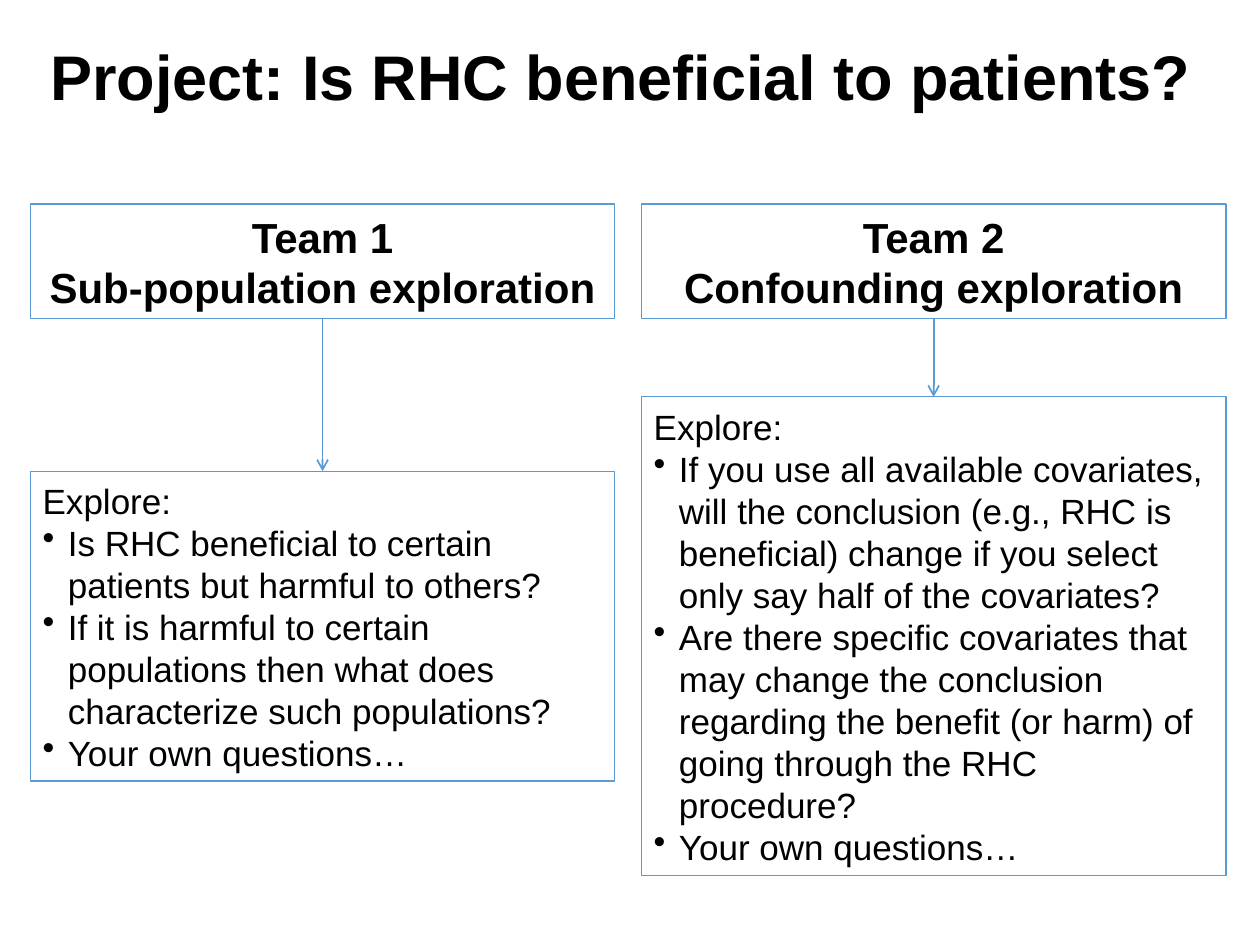
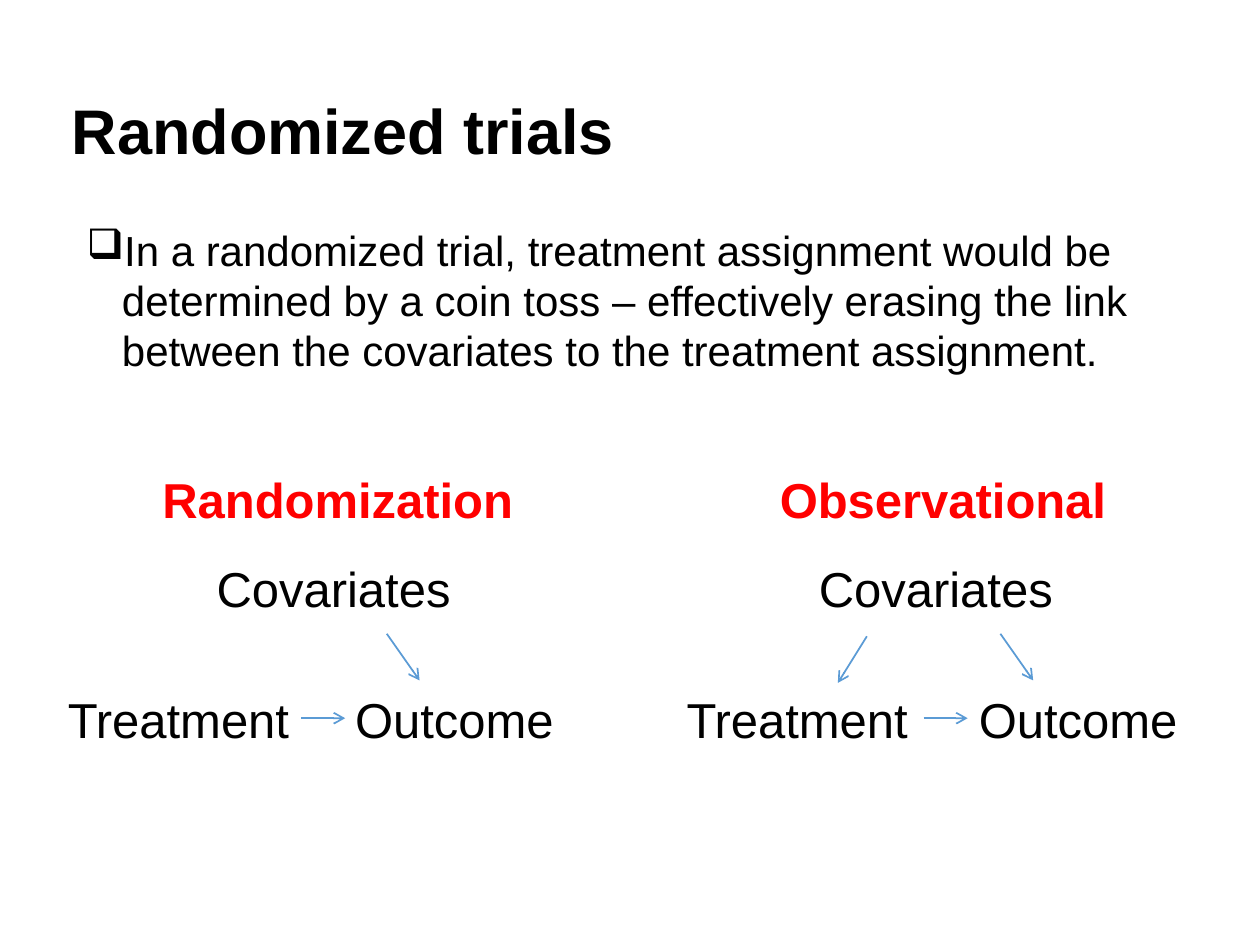
import pptx
import pptx.dml.color
import pptx.enum.shapes
import pptx.enum.text
import pptx.oxml
import pptx.oxml.ns
import pptx.util
from pptx.util import Inches

COLORS = {"text": "000000", "accent": "5B9BD5", "heading": "FF0000"}
TITLE = {"size": 36, "bold": True, "space": 6}
TEAM = {"size": 24, "bold": True, "align": pptx.enum.text.PP_ALIGN.CENTER}
QUESTION = {"size": 20, "bullet": "•", "indent": (0.2, -0.2)}
STATEMENT = {"size": 24, "bullet": "❑", "indent": (0.28, -0.38), "space": 6}
NODE = {"size": 28}
HEADING = {"size": 28, "bold": True, "color": "heading"}


def rgb(name):
    """Return the named palette colour."""
    return pptx.dml.color.RGBColor.from_string(COLORS[name])


def add_bullet(paragraph, bullet, indent):
    """Give a paragraph a bullet character and a hanging indent."""
    properties = paragraph._p.get_or_add_pPr()
    for name, inches in zip(("marL", "indent"), indent):
        properties.set(name, str(int(Inches(inches))))
    mark = pptx.oxml.parse_xml(
        f'<a:buChar {pptx.oxml.ns.nsdecls("a")} char="{bullet}"/>')
    properties.append(mark)


def write(frame, lines, wrap=True):
    """Fill a text frame with pairs of text and style."""
    frame.word_wrap = wrap
    frame.auto_size = pptx.enum.text.MSO_AUTO_SIZE.SHAPE_TO_FIT_TEXT
    for index, (text, style) in enumerate(lines):
        paragraph = frame.add_paragraph() if index else frame.paragraphs[0]
        space = pptx.util.Pt(style.get("space", 0))
        layout = {"alignment": style.get("align", pptx.enum.text.PP_ALIGN.LEFT),
                  "space_before": space, "space_after": space}
        for name, value in layout.items():
            setattr(paragraph, name, value)
        if "bullet" in style:
            add_bullet(paragraph, style["bullet"], style["indent"])
        run = paragraph.add_run()
        run.text = text
        face = {"name": "Arial", "size": pptx.util.Pt(style["size"]),
                "bold": style.get("bold", False)}
        for name, value in face.items():
            setattr(run.font, name, value)
        run.font.color.rgb = rgb(style.get("color", "text"))


def add_label(slide, box, text, style, wrap=False):
    """Place one paragraph of free-standing text."""
    label = slide.shapes.add_textbox(*map(Inches, box))
    write(label.text_frame, [(text, style)], wrap)


def add_panel(slide, box, lines):
    """Draw an outlined, unfilled rectangle holding text."""
    panel = slide.shapes.add_shape(
        pptx.enum.shapes.MSO_SHAPE.RECTANGLE, *map(Inches, box))
    panel.shadow.inherit = False
    panel.fill.background()
    panel.line.color.rgb = rgb("accent")
    panel.line.width = pptx.util.Pt(0.75)
    write(panel.text_frame, lines)


def add_arrow(slide, start, end):
    """Draw a thin line with an open head at its end."""
    arrow = slide.shapes.add_connector(
        pptx.enum.shapes.MSO_CONNECTOR.STRAIGHT, *map(Inches, start + end))
    arrow.line.color.rgb = rgb("accent")
    arrow.line.width = pptx.util.Pt(1)
    namespace = pptx.oxml.ns.nsdecls("a")
    arrow.line._get_or_add_ln().append(
        pptx.oxml.parse_xml(f'<a:tailEnd {namespace} type="arrow"/>'))
    arrow._element.spPr.append(pptx.oxml.parse_xml(f"<a:effectLst {namespace}/>"))


def add_team(slide, box, team, topic, questions_top, questions):
    """Build a team column: header, arrow and questions down to the box bottom."""
    left, top, width, height = box
    header_height = 0.91
    center = left + width / 2
    add_panel(slide, (left, top, width, header_height), [(team, TEAM), (topic, TEAM)])
    add_panel(slide, (left, top + questions_top, width, height - questions_top),
              [("Explore:", {"size": 20})] + [(line, QUESTION) for line in questions])
    add_arrow(slide, (center, top + header_height), (center, top + questions_top))


def add_diagram(slide, origin, heading, covariates_x, outcome_x, arrows):
    """Build a causal diagram with offsets measured from its top-left origin."""
    left, top = origin
    text, heading_x, heading_width = heading
    labels = [
        (text, heading_x, 0, heading_width, HEADING),
        ("Covariates", covariates_x, 0.7, 2.08, NODE),
        ("Treatment", 0, 1.74, 1.98, NODE),
        ("Outcome", outcome_x, 1.74, 1.8, NODE),
    ]
    for text, x, y, width, style in labels:
        add_label(slide, (left + x, top + y, width, 0.57), text, style)
    for (x, y), (dx, dy) in arrows:
        add_arrow(slide, (left + x, top + y), (left + x + dx, top + y + dy))


def build_project(slide):
    """Build the slide with the two team projects."""
    add_label(slide, (0.3, 0.25, 9.35, 0.71),
              "Project: Is RHC beneficial to patients?", TITLE)
    add_team(slide, (0.24, 1.62, 4.64, 4.58), "Team 1", "Sub-population exploration", 2.12, [
        "Is RHC beneficial to certain patients but harmful to others?",
        "If it is harmful to certain populations then what does "
        "characterize such populations?",
        "Your own questions…",
    ])
    add_team(slide, (5.09, 1.62, 4.64, 5.33), "Team 2", "Confounding exploration", 1.53, [
        "If you use all available covariates, will the conclusion (e.g., RHC is "
        "beneficial) change if you select only say half of the covariates?",
        "Are there specific covariates that may change the conclusion regarding "
        "the benefit (or harm) of going through the RHC procedure?",
        "Your own questions…",
    ])


def build_trials(slide):
    """Build the slide comparing randomized and observational designs."""
    to_outcome, to_treatment, across = (0.26, 0.37), (-0.23, 0.37), (0.35, 0)
    add_label(slide, (0.47, 0.68, 4.55, 0.71), "Randomized trials", TITLE)
    add_label(slide, (0.59, 1.73, 8.56, 1.31),
              "In a randomized trial, treatment assignment would be determined by a "
              "coin toss – effectively erasing the link between the covariates to "
              "the treatment assignment.", STATEMENT, wrap=True)
    add_diagram(slide, (5.35, 3.68), ("Observational", 0.74, 2.82), 1.05, 2.32,
                [((1.53, 1.37), to_treatment), ((2.59, 1.35), to_outcome),
                 ((1.98, 2.02), across)])
    add_diagram(slide, (0.44, 3.68), ("Randomization", 0.75, 3.02), 1.18, 2.28,
                [((2.63, 1.35), to_outcome), ((1.95, 2.02), across)])


def main():
    """Create and save the presentation."""
    deck = pptx.Presentation()
    deck.slide_width, deck.slide_height = Inches(10), Inches(7.5)
    for build in (build_project, build_trials):
        build(deck.slides.add_slide(deck.slide_layouts[6]))
    deck.save("out.pptx")


if __name__ == "__main__":
    main()
